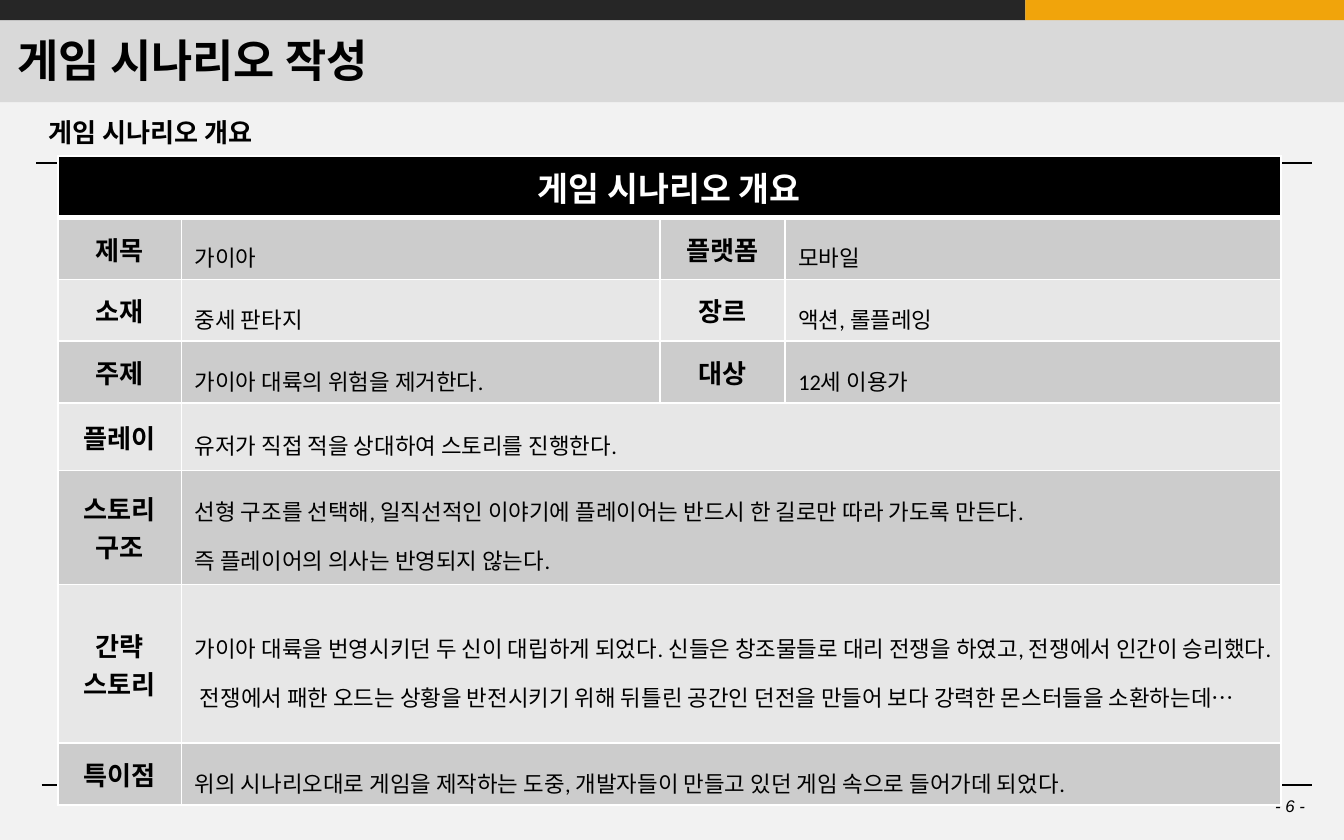
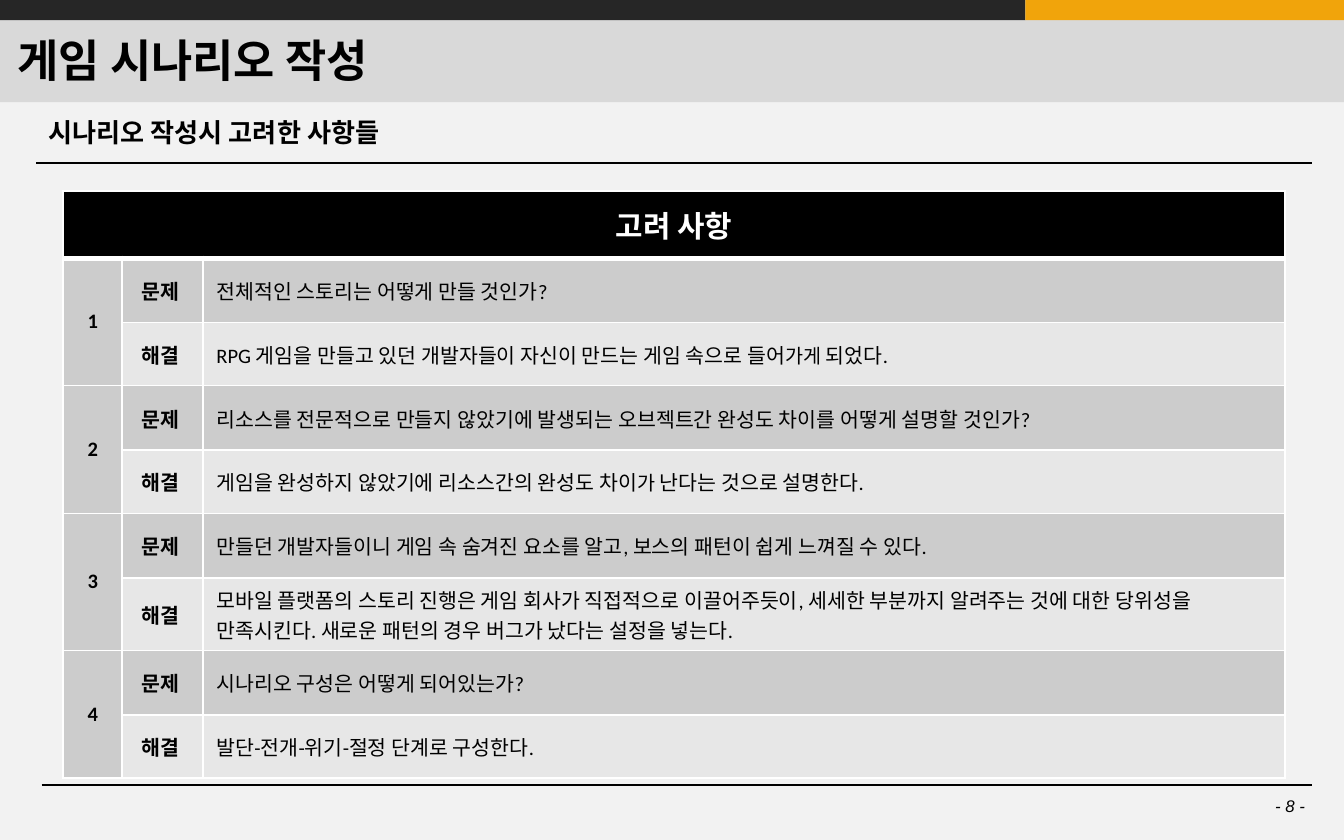
from dataclasses import dataclass
from lxml.etree import SubElement
from pptx import Presentation
from pptx.dml.color import RGBColor
from pptx.enum.shapes import MSO_CONNECTOR, MSO_SHAPE
from pptx.enum.text import MSO_ANCHOR, PP_ALIGN
from pptx.oxml.ns import qn
from pptx.util import Inches, Pt


@dataclass(frozen=True)
class Theme:
    back: str = "F2F2F2"
    band: str = "D9D9D9"
    dark: str = "262626"
    accent: str = "F1A40B"
    ink: str = "000000"
    white: str = "FFFFFF"
    odd: str = "CCCCCC"
    even: str = "E7E7E7"
    head: str = "Arial"
    body: str = "Calibri"
    title: float = 24
    sub: float = 14
    foot: float = 9
    label: float = 14
    text: float = 12
    note: float = 11
    small: float = 10.5


T = Theme()

TITLE = "게임 시나리오 작성"

OVERVIEW = {
    "sub": "게임 시나리오 개요",
    "page": 6,
    "header": "게임 시나리오 개요",
    "at": (0.43, 1.16),
    "cols": [0.92, 3.56, 0.93, 3.69],
    "heights": [0.46] * 4 + [0.5, 0.85, 1.18, 0.46],
    "rows": [
        ["제목", "가이아", "플랫폼", "모바일"],
        ["소재", "중세 판타지", "장르", "액션, 롤플레잉"],
        ["주제", "가이아 대륙의 위험을 제거한다.", "대상", "12세 이용가"],
        ["플레이", "유저가 직접 적을 상대하여 스토리를 진행한다."],
        ["스토리 구조",
         "선형 구조를 선택해, 일직선적인 이야기에 플레이어는 반드시 한 길로만 따라 가도록 만든다.\n"
         "즉 플레이어의 의사는 반영되지 않는다."],
        ["간략\n스토리",
         "가이아 대륙을 번영시키던 두 신이 대립하게 되었다. 신들은 창조물들로 대리 전쟁을 하였고, "
         "전쟁에서 인간이 승리했다. 전쟁에서 패한 오드는 상황을 반전시키기 위해 뒤틀린 공간인 던전을 "
         "만들어 보다 강력한 몬스터들을 소환하는데…"],
        ["특이점",
         "위의 시나리오대로 게임을 제작하는 도중, 개발자들이 만들고 있던 게임 속으로 들어가데 되었다."],
    ],
}

# Text between bars is set in the small size.
ISSUES = {
    "sub": "시나리오 작성시 고려한 사항들",
    "page": 8,
    "header": "고려 사항",
    "at": (0.47, 1.42),
    "cols": [0.44, 0.6, 8.05],
    "heights": [0.5] + [0.48, 0.47] * 2 + [0.48, 0.54] + [0.48, 0.47],
    "labels": ("문제 ", "해결 "),
    "pairs": [
        ("전체적인 스토리는 어떻게 만들 것인가?",
         "RPG 게임을 만들고 있던 개발자들이 자신이 만드는 게임 속으로 들어|가게 |되었다."),
        ("리소스를 전문적으로 만들지 않았기에 발생되는 오브젝트간 완성도 차이를 어떻게 설명할 것인가?",
         "게임을 완성하지 않았기에 리소스간의 완성도 차이|가 |난다는 것으로 설명한다."),
        ("만들던 개발자들이니 게임 속 숨겨진 요소를 알고, 보스의 패턴이 쉽게 느껴질 수 있다.",
         "모바일 플랫폼의 스토리 진행은 게임 회사가 직접적으로 이끌어주듯이, 세세한 부분까지 "
         "알려주는 것에 대한 당위성을 만족시킨다. 새로운 패턴의 경우 버그가 났다는 설정을 넣는다."),
        ("시나리오 구성은 어떻게 되어있는가?",
         "발단-전개-위기-절정 단계로 구성한다."),
    ],
}


def rgb(code):
    return RGBColor.from_string(code)


def style(run, size, color=T.ink, face=T.body, bold=False, slant=False):
    font = run.font
    font.name, font.size, font.bold, font.italic = face, Pt(size), bold, slant
    font.color.rgb = rgb(color)


def add_bar(slide, x, y, w, h, color):
    bar = slide.shapes.add_shape(MSO_SHAPE.RECTANGLE, *map(Inches, (x, y, w, h)))
    bar.shadow.inherit = False
    bar.fill.solid()
    bar.fill.fore_color.rgb = rgb(color)
    bar.line.fill.background()


def add_rule(slide, left, right, y, width):
    rule = slide.shapes.add_connector(
        MSO_CONNECTOR.STRAIGHT, *map(Inches, (left, y, right, y)))
    rule.line.color.rgb = rgb(T.ink)
    rule.line.width = Pt(width)
    SubElement(rule._element.spPr, qn("a:effectLst"))


def add_text(slide, box, text, size, align=PP_ALIGN.LEFT,
             anchor=MSO_ANCHOR.MIDDLE, bold=True, slant=False):
    frame = slide.shapes.add_textbox(*map(Inches, box)).text_frame
    frame.word_wrap = True
    frame.vertical_anchor = anchor
    frame.margin_left = frame.margin_right = Inches(0.09)
    frame.margin_top = frame.margin_bottom = Inches(0.04)
    frame.text = text
    para = frame.paragraphs[0]
    para.alignment = align
    style(para.runs[0], size, face=T.head, bold=bold, slant=slant)


def add_base(deck, data):
    """Add a slide with the bands, rules, headings and page number."""
    slide = deck.slides.add_slide(deck.slide_layouts[6])
    slide.background.fill.solid()
    slide.background.fill.fore_color.rgb = rgb(T.back)
    add_bar(slide, 0, 0.15, 10, 0.61, T.band)
    add_bar(slide, 0, 0, 7.63, 0.15, T.dark)
    add_bar(slide, 7.63, 0, 2.37, 0.15, T.accent)
    add_text(slide, (7.47, 5.88, 2.33, 0.2), f"- {data['page']} -", T.foot,
             PP_ALIGN.RIGHT, MSO_ANCHOR.TOP, bold=False, slant=True)
    add_rule(slide, 0.31, 9.76, 5.84, 0.75)
    add_rule(slide, 0.27, 9.76, 1.21, 1)
    add_text(slide, (0.04, 0.15, 9.07, 0.59), TITLE, T.title)
    add_text(slide, (0.27, 0.76, 9.22, 0.44), data["sub"], T.sub)
    return slide


def add_edges(cell, top, bottom):
    props = cell._tc.get_or_add_tcPr()
    for side, width in (("L", 1), ("R", 1), ("T", top), ("B", bottom)):
        line = SubElement(props, qn(f"a:ln{side}"), w=str(Pt(width)))
        fill = SubElement(line, qn("a:solidFill"))
        SubElement(fill, qn("a:srgbClr"), val=T.white)


def put(cell, text, size, color=T.ink, bold=False, space=None):
    """Write a cell; bold cells are labels and stand centred."""
    frame = cell.text_frame
    for i, line in enumerate(text.split("\n")):
        para = frame.add_paragraph() if i else frame.paragraphs[0]
        para.alignment = PP_ALIGN.CENTER if bold else PP_ALIGN.LEFT
        if space:
            para.line_spacing = space
        for j, part in enumerate(line.split("|")):
            run = para.add_run()
            run.text = part
            style(run, T.small if j % 2 else size, color, bold=bold)


def add_grid(slide, data, size):
    """Add the table with its fills, borders and header row."""
    cols, heights = data["cols"], data["heights"]
    box = (*data["at"], sum(cols), sum(heights))
    grid = slide.shapes.add_table(len(heights), len(cols), *map(Inches, box)).table
    grid.first_row = grid.horz_banding = False
    for col, width in zip(grid.columns, cols):
        col.width = Inches(width)
    for r, (row, height) in enumerate(zip(grid.rows, heights)):
        row.height = Inches(height)
        for cell in row.cells:
            add_edges(cell, 3 if r == 1 else 1, 3 if r == 0 else 1)
            cell.vertical_anchor = MSO_ANCHOR.MIDDLE
            cell.fill.solid()
            tone = T.odd if r % 2 else T.even
            cell.fill.fore_color.rgb = rgb(tone if r else T.ink)
    grid.cell(0, 0).merge(grid.cell(0, len(cols) - 1))
    put(grid.cell(0, 0), data["header"], size, T.white, bold=True)
    return grid


def add_overview(deck):
    grid = add_grid(add_base(deck, OVERVIEW), OVERVIEW, 18)
    for r, row in enumerate(OVERVIEW["rows"], 1):
        if len(row) == 2:
            grid.cell(r, 1).merge(grid.cell(r, 3))
        for c, text in enumerate(row):
            if c % 2:
                put(grid.cell(r, c), text, T.text, space=1.5)
            else:
                put(grid.cell(r, c), text, T.label, bold=True)


def add_issues(deck):
    grid = add_grid(add_base(deck, ISSUES), ISSUES, 16)
    for n, pair in enumerate(ISSUES["pairs"], 1):
        top = 2 * n - 1
        grid.cell(top, 0).merge(grid.cell(top + 1, 0))
        put(grid.cell(top, 0), str(n), T.note, bold=True)
        for r, (label, text) in enumerate(zip(ISSUES["labels"], pair), top):
            put(grid.cell(r, 1), label, T.note, bold=True)
            put(grid.cell(r, 2), text, T.note)


def main():
    deck = Presentation()
    deck.slide_width, deck.slide_height = Inches(10), Inches(6.25)
    add_overview(deck)
    add_issues(deck)
    deck.save("out.pptx")


if __name__ == "__main__":
    main()
